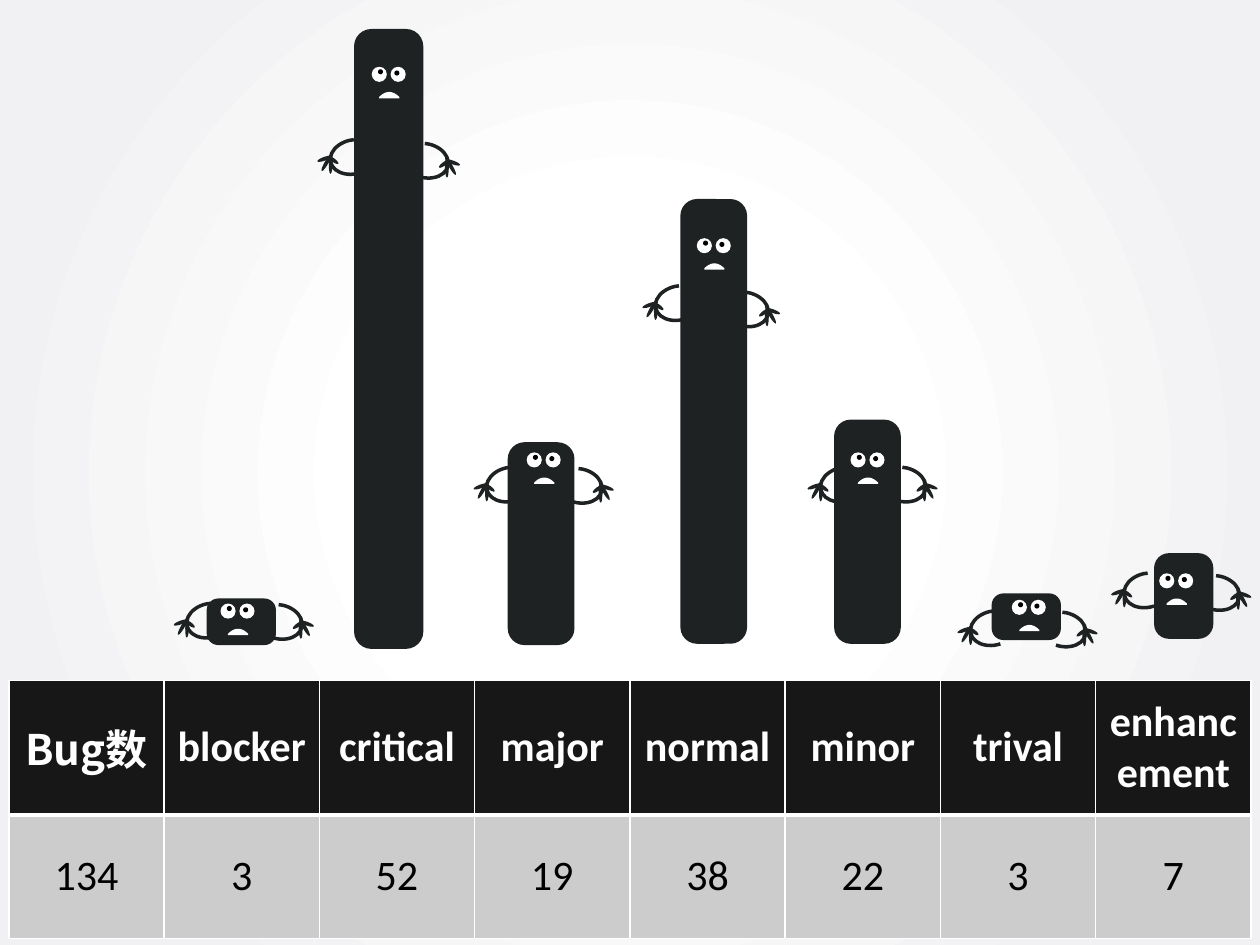
from dataclasses import dataclass
from typing import NamedTuple

import pptx
import pptx.dml.color
import pptx.enum.shapes
import pptx.enum.text
import pptx.oxml
import pptx.oxml.ns
import pptx.util

PX = 9144
KIND = pptx.enum.shapes.MSO_SHAPE


@dataclass(frozen=True)
class Theme:
    ink: str = "1E2223"
    white: str = "FFFFFF"
    black: str = "000000"
    mist: str = "F1F1F3"
    head: str = "181717"
    row: str = "CCCCCC"
    font: str = "Calibri"
    cjk: str = "Noto Sans CJK SC"
    size: int = 24
    line: int = 2


class Spot(NamedTuple):
    x: int
    y: int


class Box(NamedTuple):
    x: int
    y: int
    w: int
    h: int


class Claw(NamedTuple):
    box: Box
    turn: int


class Bug(NamedTuple):
    name: str
    count: int
    body: Box
    face: Spot
    right: Spot
    left: Spot
    behind: bool = False


THEME = Theme()
ARM = Box(0, 0, 27, 37)
CLAWS = [
    Claw(Box(32, 14, 3, 17), 150),
    Claw(Box(29, 17, 3, 15), 178),
    Claw(Box(27, 16, 3, 10), 234),
    Claw(Box(34, 14, 3, 12), 110),
]
EYES = [
    (Box(0, 0, 12, 12), THEME.white),
    (Box(5, 2, 4, 4), THEME.black),
    (Box(15, 0, 12, 12), THEME.white),
    (Box(18, 3, 4, 4), THEME.black),
]
MOUTH = Box(6, 20, 16, 5)
BUGS = [
    Bug("blocker", 3, Box(164, 475, 55, 37), Spot(175, 479), Spot(208, 475), Spot(153, 474)),
    Bug("critical", 52, Box(281, 23, 55, 492), Spot(295, 53), Spot(324, 109), Spot(267, 106)),
    Bug("major", 19, Box(403, 351, 53, 161), Spot(418, 359), Spot(446, 367), Spot(391, 366)),
    Bug("normal", 38, Box(540, 158, 53, 353), Spot(553, 189), Spot(578, 227), Spot(525, 222)),
    Bug("minor", 22, Box(662, 333, 53, 178), Spot(675, 359), Spot(703, 366), Spot(656, 366)),
    Bug("trival", 3, Box(787, 471, 55, 37), Spot(803, 476), Spot(830, 481), Spot(775, 480), True),
    Bug("enhancement", 7, Box(916, 439, 47, 68), Spot(920, 455), Spot(952, 452), Spot(897, 450), True),
]
TABLE = Box(7, 540, 986, 196)


def tint(code: str) -> pptx.dml.color.RGBColor:
    return pptx.dml.color.RGBColor.from_string(code)


def shift(box: Box, spot: Spot) -> Box:
    return box._replace(x=box.x + spot.x, y=box.y + spot.y)


def paint(shape, fill: str) -> None:
    shape.shadow.inherit = False
    shape.fill.solid()
    shape.fill.fore_color.rgb = tint(fill)
    shape.line.fill.background()


def draw(shapes, kind, box: Box, fill: str, turn: float = 0):
    shape = shapes.add_shape(kind, *(n * PX for n in box))
    paint(shape, fill)
    shape.rotation = turn
    return shape


def draw_body(shapes, box: Box) -> None:
    body = draw(shapes, KIND.ROUNDED_RECTANGLE, box, THEME.ink)
    body.adjustments[0] = 0.25


def draw_face(shapes, spot: Spot) -> None:
    group = shapes.add_group_shape().shapes
    for box, fill in EYES:
        draw(group, KIND.OVAL, shift(box, spot), fill)
    box = shift(MOUTH, spot)
    half = box.w / 2
    steps = [n / 8 for n in range(-8, 9)]
    curve = [((box.x + half + half * u) * PX, (box.y + 4 * u * u) * PX) for u in steps]
    base = (box.y + box.h) * PX
    pen = group.build_freeform(box.x * PX, base)
    pen.add_line_segments(curve + [((box.x + box.w) * PX, base)], close=True)
    paint(pen.convert_to_shape(), THEME.white)


def draw_arm(shapes, spot: Spot, right: bool) -> None:
    group = shapes.add_group_shape().shapes
    turn = 102.8 if right else 257.2
    arc = draw(group, KIND.ARC, shift(ARM, spot), THEME.ink, turn)
    arc.fill.background()
    arc.line.color.rgb = tint(THEME.ink)
    arc.line.width = pptx.util.Pt(THEME.line)
    arc.adjustments[0] = 169.2 * 0.6
    arc.adjustments[1] = 14.34 * 0.6
    if right:
        arc.element.spPr.xfrm.set("flipH", "1")
    for box, turn in CLAWS:
        if not right:
            box = box._replace(x=ARM.w - 1 - box.x - box.w)
            turn = 360 - turn
        draw(group, KIND.OVAL, shift(box, spot), THEME.ink, turn)


def draw_bug(shapes, bug: Bug) -> None:
    if not bug.behind:
        draw_body(shapes, bug.body)
        draw_face(shapes, bug.face)
    draw_arm(shapes, bug.right, True)
    draw_arm(shapes, bug.left, False)
    if bug.behind:
        draw_body(shapes, bug.body)
        draw_face(shapes, bug.face)


def edge(cell, sides: dict[str, int]) -> None:
    spaces = pptx.oxml.ns.nsdecls("a")
    for place, (side, width) in enumerate(sides.items()):
        line = pptx.oxml.parse_xml(
            f'<a:ln{side} {spaces} w="{pptx.util.Pt(width)}"><a:solidFill>'
            f'<a:srgbClr val="{THEME.white}"/></a:solidFill></a:ln{side}>'
        )
        cell._tc.get_or_add_tcPr().insert(place, line)


def write(cell, text: str, font: str, top: bool) -> None:
    cell.fill.solid()
    cell.fill.fore_color.rgb = tint(THEME.head if top else THEME.row)
    cell.vertical_anchor = pptx.enum.text.MSO_ANCHOR.MIDDLE
    edge(cell, {"L": 1, "R": 1, "T": 1 if top else 3, "B": 3 if top else 1})
    para = cell.text_frame.paragraphs[0]
    para.alignment = pptx.enum.text.PP_ALIGN.CENTER
    run = para.add_run()
    run.text = text
    run.font.name = font
    run.font.size = pptx.util.Pt(THEME.size)
    run.font.bold = top
    run.font.color.rgb = tint(THEME.white if top else THEME.black)


def draw_table(shapes) -> None:
    pairs = [("Bug数", 134)] + [(bug.name, bug.count) for bug in BUGS]
    grid = shapes.add_table(2, len(pairs), *(n * PX for n in TABLE)).table
    for col, (name, count) in enumerate(pairs):
        write(grid.cell(0, col), name, THEME.font if col else THEME.cjk, True)
        write(grid.cell(1, col), str(count), THEME.font, False)


def draw_back(slide) -> None:
    fill = slide.background.fill
    fill.gradient()
    glow = [(0.33, THEME.white), (0.83, THEME.mist)]
    for stop, (place, code) in zip(fill.gradient_stops, glow):
        stop.position = place
        stop.color.rgb = tint(code)
    grad = slide.element.find(".//" + pptx.oxml.ns.qn("a:gradFill"))
    grad.remove(grad.find(pptx.oxml.ns.qn("a:lin")))
    grad.append(pptx.oxml.parse_xml(
        f'<a:path {pptx.oxml.ns.nsdecls("a")} path="circle">'
        '<a:fillToRect l="50000" t="50000" r="50000" b="50000"/></a:path>'
    ))


def main() -> None:
    deck = pptx.Presentation()
    deck.slide_width, deck.slide_height = 1000 * PX, 750 * PX
    slide = deck.slides.add_slide(deck.slide_layouts[6])
    draw_back(slide)
    draw_table(slide.shapes)
    for bug in BUGS:
        draw_bug(slide.shapes, bug)
    deck.save("out.pptx")


if __name__ == "__main__":
    main()
